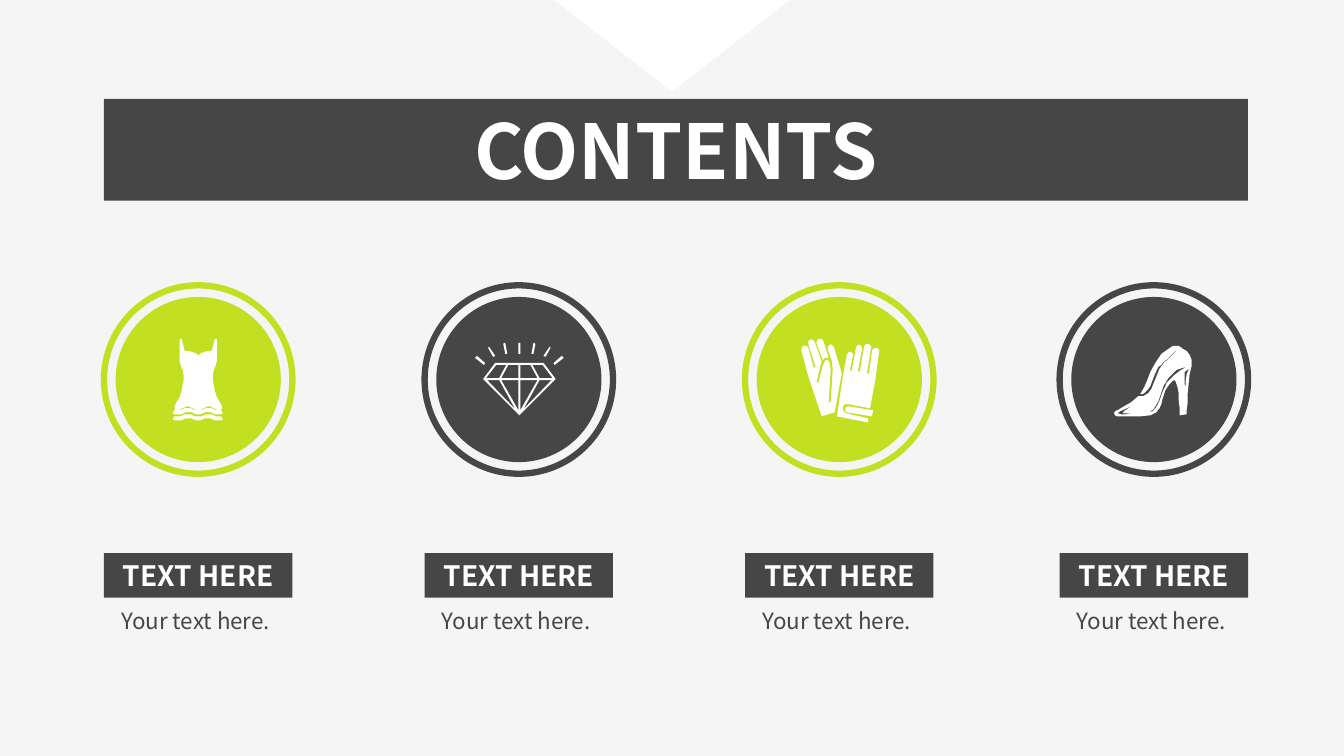
from dataclasses import dataclass
from math import cos, hypot, pi, radians, sin

from pptx import Presentation
from pptx.dml.color import RGBColor
from pptx.enum.shapes import MSO_SHAPE
from pptx.enum.text import MSO_ANCHOR, PP_ALIGN
from pptx.util import Pt

RECTANGLE = MSO_SHAPE.RECTANGLE
ELLIPSE = MSO_SHAPE.OVAL
TRIANGLE = MSO_SHAPE.ISOSCELES_TRIANGLE
MIDDLE = MSO_ANCHOR.MIDDLE
CENTER = PP_ALIGN.CENTER

PALE = RGBColor(0xF5, 0xF5, 0xF5)
DARK = RGBColor(0x46, 0x46, 0x46)
LIME = RGBColor(0xC3, 0xDF, 0x21)
WHITE = RGBColor(0xFF, 0xFF, 0xFF)

FONT = "Noto Sans CJK SC"
FRAME_FORMAT = {
    "margin_left": 0, "margin_right": 0, "margin_top": 0, "margin_bottom": 0,
    "word_wrap": True, "vertical_anchor": MIDDLE,
}

COLUMN_LEFTS = [74.3, 303.3, 532.2, 756.9]
COLUMN_WIDTH = 134.6
RING_TOP = 203.8
DISC_INSET = 8.3
LABEL_TOP = 395.2
CAPTION_TOP = 430.2
CAPTION_INSET = 2.9
ICON_UNIT = 0.72  # points per icon unit, counted from the ring's top left

Point = tuple[float, float]
Contour = list[Point]
Outline = list[Contour]  # later contours cut holes in the first


@dataclass
class Bar:
    """An upright rectangle in icon units."""
    left: float
    top: float
    width: float
    height: float


Icon = list[Outline | Bar]


def mirrored(contour: Contour, axis: float) -> Contour:
    """Reflect left to right; reversed, so that two halves join up."""
    return [(2 * axis - x, y) for x, y in reversed(contour)]


def trace(start: Point, *steps: tuple[float, ...]) -> Contour:
    """Follow steps: 2 numbers draw a line, 6 a Bezier curve."""
    contour = [start]
    for step in steps:
        if len(step) == 2:
            contour.append(step)
            continue
        (x0, y0), (x1, y1, x2, y2, x3, y3) = contour[-1], step
        for t in (0.2, 0.4, 0.6, 0.8, 1):
            a, b, c, d = (1 - t) ** 3, 3 * t * (1 - t) ** 2, 3 * t * t * (1 - t), t ** 3
            contour.append((a * x0 + b * x1 + c * x2 + d * x3,
                            a * y0 + b * y1 + c * y2 + d * y3))
    return contour


def dress() -> Icon:
    axis, ripple = 93.5, 20.5

    def wave(half_width: float, level: float, height: float = 1.5) -> Contour:
        offsets = [half_width * step / 12 for step in range(-12, 13)]
        return [(axis + dx, level + height * cos(2 * pi * dx / ripple)) for dx in offsets]

    def frill(top: float) -> Outline:
        return [wave(23, top) + wave(25, top + 4)[::-1]]

    strap_and_side = trace(
        (axis, 70), (95, 66, 100, 65, 107, 65), (110, 53), (112, 53), (112, 70),
        (112, 78, 108, 85, 108, 94), (108, 102, 113, 115, 117, 120))
    hem = wave(23.5, 122, 2)[::-1]
    return [[strap_and_side + hem + mirrored(strap_and_side, axis)], frill(123), frill(129)]


def diamond() -> Icon:
    axis, table, girdle, culet = 94, 77, 93, 129
    crown, waist = (table + 2, girdle - 1), girdle + 1  # facet edges beside the bars

    def ray(foot: Point, tip: Point) -> Contour:
        dx, dy = tip[0] - foot[0], tip[1] - foot[1]
        nx, ny = -dy / hypot(dx, dy), dx / hypot(dx, dy)
        return [(foot[0] + nx, foot[1] + ny), (tip[0] + nx, tip[1] + ny),
                (tip[0] - nx, tip[1] - ny), (foot[0] - nx, foot[1] - ny)]

    def crown_facet(top: Point, bottom: Point) -> Contour:
        return [(top[0], crown[0]), (top[1], crown[0]),
                (bottom[1], crown[1]), (bottom[0], crown[1])]

    half_gem = [(axis, culet), (58, girdle), (70, table)]
    left_facets = [
        crown_facet((71, 81), (61, 74)),
        crown_facet((83, 93), (76, 93)),
        [(76, waist), (93, waist), (93, 124)],
        [(62, waist), (74, waist), (90, 123)],
    ]
    left_rays = [ray((59.5, 78), (51, 71)), ray((69, 70.5), (63.5, 61.5)),
                 ray((81, 68), (79, 57.5))]
    gem = [half_gem + mirrored(half_gem, axis), *left_facets,
           *[mirrored(facet, axis) for facet in left_facets]]
    middle_ray = Bar(axis - 1, 57, 2, 11)
    return [gem, *[[r] for r in left_rays], middle_ray,
            *[[mirrored(r, axis)] for r in left_rays]]


def gloves() -> Icon:
    def fingertip(x: float, y: float, radius: float, lean: float) -> Contour:
        """Half circle from left to right, leaning by degrees."""
        angles = [radians(lean + turn) for turn in range(-90, 91, 30)]
        return [(x + radius * sin(a), y - radius * cos(a)) for a in angles]

    def gap(x: float, bottom: float) -> Contour:
        return [(x - 1, bottom - 1), (x, bottom), (x + 1, bottom - 1)]

    left_lean, right_lean = -17, 10
    left_hand = [
        (76, 130), (63, 91), *fingertip(59.5, 63.6, 3.7, left_lean),
        *gap(69, 82), *fingertip(66, 57.5, 3.5, left_lean),
        (76, 76), (75, 79), *gap(72, 97), (77, 80), (80, 74), (82, 74), (84.5, 77),
        (85, 84), *gap(84, 116.5), (87, 84), (86, 75),
        *fingertip(85, 62.3, 3, left_lean), (96, 87), (89, 126)]
    left_index = [(77, 74), *fingertip(74.5, 56.6, 3.6, left_lean), (83, 72), (79, 72)]
    strap_slot = trace((124, 122), (103, 118), (99, 117, 97, 120, 97, 122),
                       (97, 125, 99, 127, 101, 127), (122, 132))
    right_hand = [
        (91, 130), (97, 91), *fingertip(104, 69.5, 3.2, right_lean),
        *gap(105, 85), *fingertip(113, 62.5, 3.2, right_lean),
        *gap(113, 86), *fingertip(121.5, 61.8, 3.6, right_lean),
        *gap(122, 88), *fingertip(129.6, 65.2, 3.2, right_lean),
        (129, 95), *strap_slot, (122, 136)]
    strap = trace((126, 130), (101, 126), (98, 125, 98, 120, 102, 120), (127, 124))
    return [[left_hand], [left_index], [right_hand], [strap]]


def shoe() -> Icon:
    instep = [(115, 58, 111, 61, 111, 61), (91, 72, 90, 91, 84, 101), (80, 108)]
    inner_fold = [(83, 108, 88, 106, 90, 100), (93, 92), (96, 85),
                  (100, 78, 104, 76, 108, 72), (116, 64)]
    outer_fold = [(116, 64, 116, 67, 107, 74), (107, 74, 100, 79, 97, 88),
                  (94, 96, 92, 107, 83, 110), (78, 110)]
    toe = [(66, 123, 54, 122, 54, 127), (54, 130, 58, 131, 80, 130)]
    arch = [(100, 129, 100, 121, 102, 113), (104, 107, 105, 103, 109, 98)]
    heel = [(115, 90, 116, 95, 117, 101), (118, 107, 119, 129, 119, 129), (126, 128),
            (126, 124), (127, 116, 127, 91, 131, 80), (135, 70, 121, 62, 121, 62)]
    body = trace((121, 62), *instep, *inner_fold, *outer_fold, *toe, *arch, *heel)
    toe_shine = trace((65, 128), (56, 128, 57, 126, 60, 125), (71, 120),
                      (69, 122, 67, 123, 63, 126), (59, 128, 74, 127, 74, 127))
    heel_shine = trace((125, 102), (125, 102, 123, 92, 124, 86), (128, 83),
                       (128, 83, 125, 88, 125, 102))
    side_shine = trace((108, 95), (108, 95, 104, 99, 101, 109),
                       (98, 119, 96, 125, 88, 126), (88, 126, 94, 124, 98, 115),
                       (100, 107, 105, 84, 128, 80), (128, 80, 118, 83, 108, 95))
    return [[body, toe_shine, heel_shine, side_shine]]


@dataclass
class Column:
    left: float
    color: RGBColor
    icon: Icon


def write(shape, text: str, size: float, color: RGBColor, bold: bool) -> None:
    frame = shape.text_frame
    for name, value in FRAME_FORMAT.items():
        setattr(frame, name, value)
    frame.text = text
    paragraph = frame.paragraphs[0]
    paragraph.alignment = CENTER
    for name, value in {"name": FONT, "size": Pt(size), "bold": bold}.items():
        setattr(paragraph.font, name, value)
    paragraph.font.color.rgb = color


def paint(shape, color: RGBColor) -> None:
    shape.shadow.inherit = False
    shape.fill.solid()
    shape.fill.fore_color.rgb = color
    shape.line.fill.background()


def add_filled(slide, kind, left: float, top: float, width: float, height: float,
               color: RGBColor):
    shape = slide.shapes.add_shape(kind, Pt(left), Pt(top), Pt(width), Pt(height))
    paint(shape, color)
    return shape


def add_icon(slide, icon: Icon, left: float, top: float) -> None:
    for part in icon:
        if isinstance(part, Bar):
            add_filled(slide, RECTANGLE, left + part.left * ICON_UNIT,
                       top + part.top * ICON_UNIT, part.width * ICON_UNIT,
                       part.height * ICON_UNIT, WHITE)
            continue
        builder = slide.shapes.build_freeform(*part[0][0], scale=Pt(ICON_UNIT))
        for contour in part:
            builder.move_to(*contour[0])
            builder.add_line_segments(contour[1:], close=True)
        paint(builder.convert_to_shape(Pt(left), Pt(top)), WHITE)


def add_column(slide, column: Column) -> None:
    ring = add_filled(slide, ELLIPSE, column.left, RING_TOP, COLUMN_WIDTH, COLUMN_WIDTH, PALE)
    ring.fill.background()
    ring.line.color.rgb = column.color
    ring.line.width = Pt(4.5)
    disc = COLUMN_WIDTH - 2 * DISC_INSET
    add_filled(slide, ELLIPSE, column.left + DISC_INSET, RING_TOP + DISC_INSET,
               disc, disc, column.color)
    add_icon(slide, column.icon, column.left, RING_TOP)
    label = add_filled(slide, RECTANGLE, column.left, LABEL_TOP, COLUMN_WIDTH, 31.7, DARK)
    write(label, "TEXT HERE", 20, WHITE, True)
    caption = slide.shapes.add_textbox(Pt(column.left + CAPTION_INSET), Pt(CAPTION_TOP),
                                       Pt(COLUMN_WIDTH - 2 * CAPTION_INSET), Pt(26.6))
    write(caption, "Your text here. ", 16, DARK, False)


def main() -> None:
    deck = Presentation()
    deck.slide_width, deck.slide_height = Pt(960), Pt(540)
    slide = deck.slides.add_slide(deck.slide_layouts[5])
    slide.background.fill.solid()
    slide.background.fill.fore_color.rgb = PALE

    title = slide.shapes.title
    place = {"left": 74.2, "top": 70.6, "width": 817.2, "height": 72.7}
    for name, value in place.items():
        setattr(title, name, Pt(value))
    title.fill.solid()
    title.fill.fore_color.rgb = DARK
    write(title, "CONTENTS", 54, WHITE, True)

    pointer = add_filled(slide, TRIANGLE, 396, 0, 168, 65.5, WHITE)
    pointer.rotation = 180
    icons = [dress(), diamond(), gloves(), shoe()]
    for index, (left, icon) in enumerate(zip(COLUMN_LEFTS, icons)):
        add_column(slide, Column(left, DARK if index % 2 else LIME, icon))
    deck.save("out.pptx")


if __name__ == "__main__":
    main()
